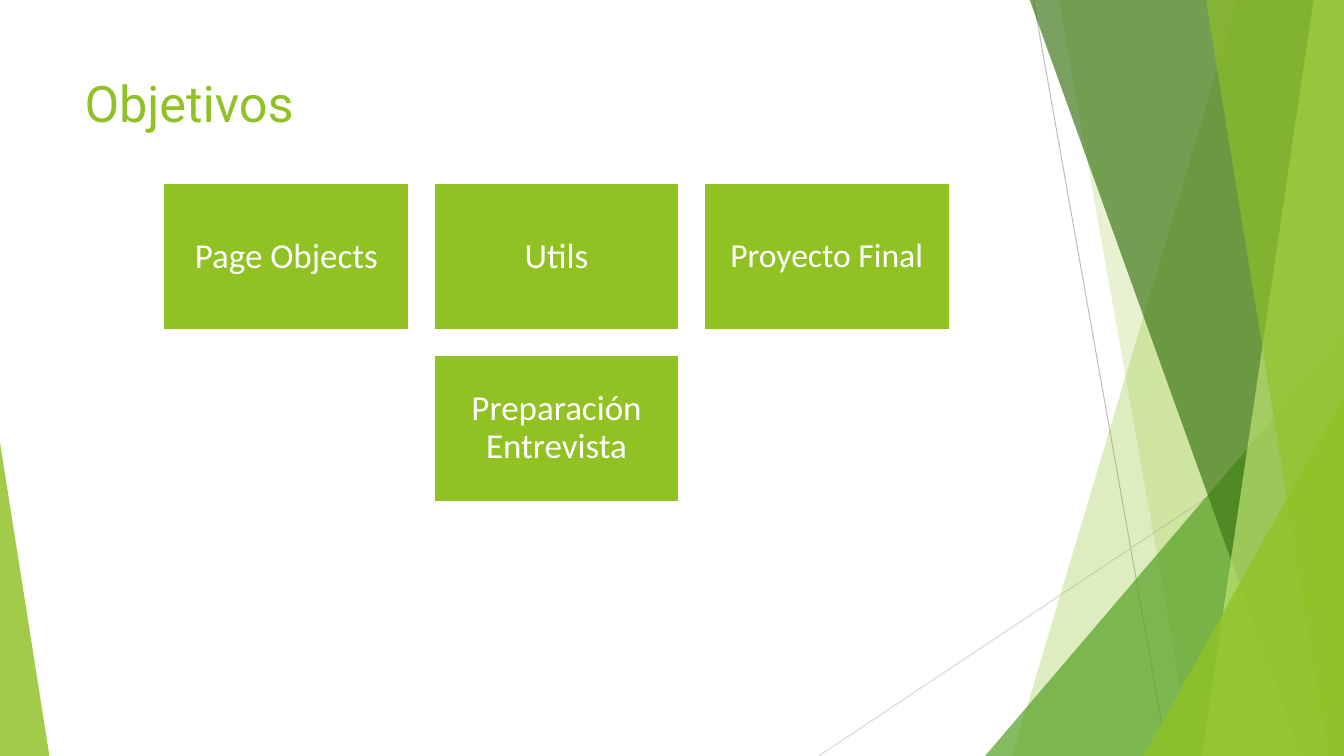
from lxml import etree
from pptx import Presentation
from pptx import util as u
from pptx.dml.color import RGBColor
from pptx.enum import shapes, text
from pptx.oxml import ns

PX = 9144  # EMU; 100 px to the inch
WIDE, HIGH = 1333, 750
GREEN = "90C226"


def px(*nums):
    return [u.Emu(n * PX) for n in nums]


def paint(fill, hue, alpha=100):
    """Fill with a solid colour, alpha in percent."""
    fill.solid()
    fill.fore_color.rgb = RGBColor.from_string(hue)
    if alpha < 100:
        tone = fill._xPr.find(".//" + ns.qn("a:srgbClr"))
        etree.SubElement(tone, ns.qn("a:alpha")).set("val", str(alpha * 1000))


deck = Presentation()
deck.slide_width, deck.slide_height = px(WIDE, HIGH)
slide = deck.slides.add_slide(deck.slide_layouts[6])
parts = slide.shapes

# Thin lines behind the panes
for ends, hue in [((1025, 0, 1158, HIGH), "BFBFBF"), ((WIDE, 403, 812, HIGH), "D8D8D8")]:
    line = parts.add_connector(shapes.MSO_CONNECTOR.STRAIGHT, *px(*ends))
    paint(line.line.fill, hue)
    line.line.width = u.Pt(0.75)
    etree.SubElement(line._element.spPr, ns.qn("a:effectLst"))

# Panes: slanted ones have a left edge from head to foot and reach the right
# side of the slide; triangles have left, top, width and the apex position.
panes = [
    ("slant", (1228, 1004), GREEN, 29),
    ("slant", (1050, 1183), GREEN, 20),
    ("triangle", (977, 333, 356, 1), "54A021", 71),
    ("slant", (1021, 1291), "3F7818", 69),
    ("slant", (1303, 1192), "BFE471", 69),
    ("slant", (1196, 1318), GREEN, 64),
    ("triangle", (1134, 393, 199, 1), GREEN, 80),
    ("triangle", (0, 439, 49, 0), GREEN, 84),
]
for kind, dims, hue, alpha in panes:
    if kind == "slant":
        head, foot = dims
        path = parts.build_freeform(head, -1, scale=PX)
        path.add_line_segments([(WIDE, -1), (WIDE, HIGH), (foot, HIGH)], close=True)
        pane = path.convert_to_shape()
    else:
        left, top, width, apex = dims
        pane = parts.add_shape(shapes.MSO_SHAPE.ISOSCELES_TRIANGLE,
                               *px(left, top, width, HIGH - top))
        pane.adjustments[0] = apex
    paint(pane.fill, hue, alpha)
    pane.line.fill.background()
    pane.shadow.inherit = False

# Title
title = parts.add_textbox(*px(74, 67, 940, 144))
title.text_frame.word_wrap = True
para = title.text_frame.paragraphs[0]
para.text = "Objetivos"
para.font.name, para.font.size = "Roboto", u.Pt(36)
paint(para.font.fill, GREEN)

# Goals on a grid: column, row
goals = [("Page Objects", 0, 0, 25), ("Utils", 1, 0, 25),
         ("Proyecto Final", 2, 0, 24), ("Preparación Entrevista", 1, 1, 25)]
for label, col, row, size in goals:
    box = parts.add_shape(shapes.MSO_SHAPE.RECTANGLE,
                          *px(162 + 268 * col, 182 + 170 * row, 244, 146))
    box.shadow.inherit = False
    paint(box.fill, "90C223")
    paint(box.line.fill, "FFFFFF")
    box.line.width = u.Pt(1.5)
    frame = box.text_frame
    frame.word_wrap = True
    frame.vertical_anchor = text.MSO_ANCHOR.MIDDLE
    frame.margin_left, frame.margin_top, frame.margin_right, frame.margin_bottom = px(*[10] * 4)
    para = frame.paragraphs[0]
    para.text = label
    para.alignment = text.PP_ALIGN.CENTER
    para.line_spacing = 0.9
    para.font.name, para.font.size = "Calibri", u.Pt(size)
    paint(para.font.fill, "FFFFFF")

deck.save("out.pptx")
